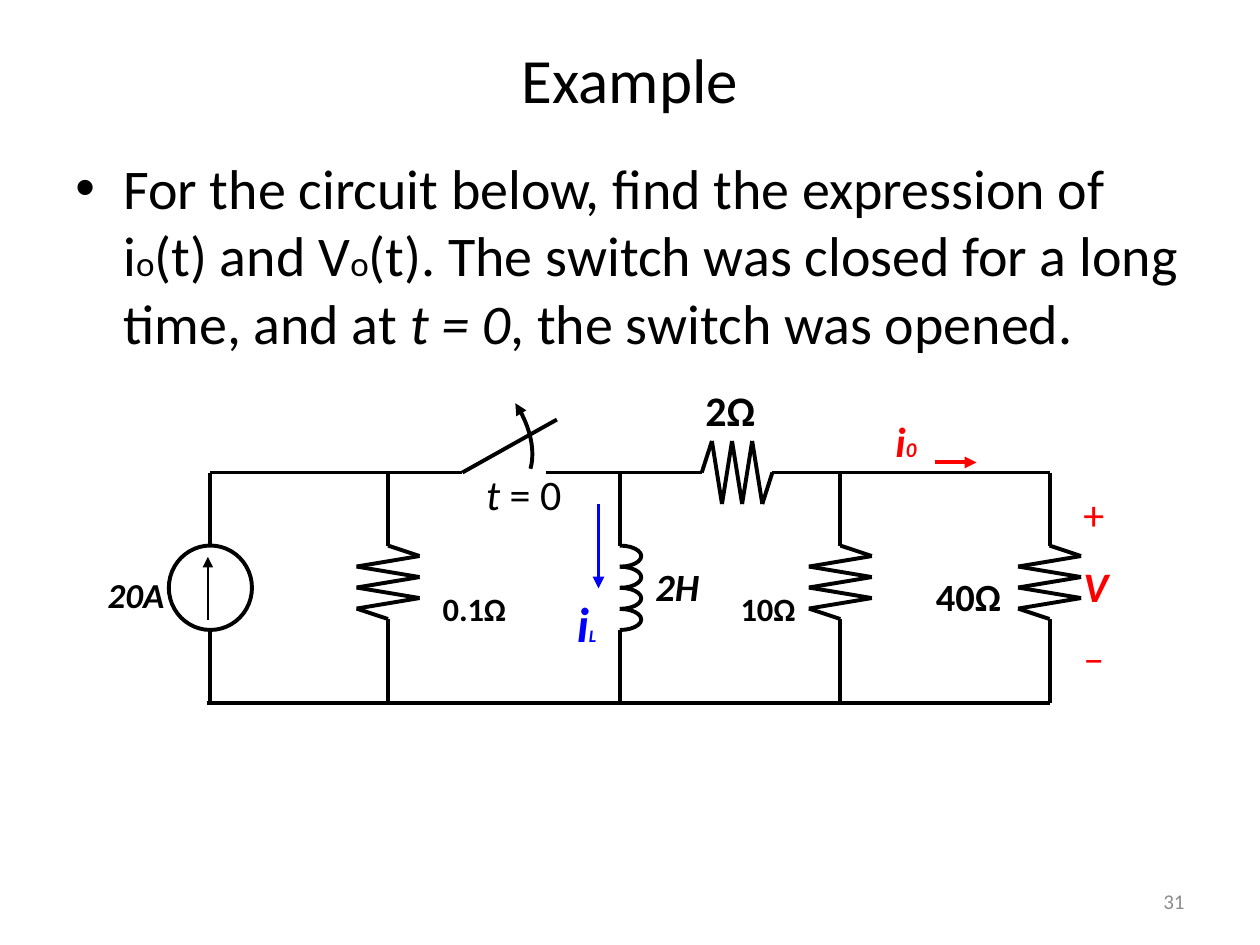
"""Build the circuit example slide with its switch, resistors and inductor."""
from itertools import pairwise

from lxml import etree
from pptx import Presentation
from pptx import util as u
from pptx.dml import color
from pptx.enum import shapes, text
from pptx.oxml import ns

COLORS = {"ink": "000000", "output": "FF0000", "coil": "0000FF", "number": "8C8C8C"}
ALIGN = {"l": text.PP_ALIGN.LEFT, "c": text.PP_ALIGN.CENTER, "r": text.PP_ALIGN.RIGHT}

COL = {"source": 1.67, "shunt": 3.08, "coil": 4.92, "load": 6.67, "out": 8.33}
ROW = {"top": 3.75, "upper": 4.33, "lower": 5.0, "bottom": 5.58}
STEP, SWING, RADIUS = 1 / 12, 0.25, 0.33
SERIES_X = 5.57
COIL_TURNS = 4
SWITCH_CURVE = [(4.21, 3.72), (4.25, 3.58), (4.21, 3.38), (4.09, 3.2)]

QUESTION = [
    ("For the circuit below, find the expression of i", 32, ""), ("o", 20, ""),
    ("(t) and V", 32, ""), ("o", 20, ""),
    ("(t). The switch was closed for a long time, and at ", 32, ""),
    ("t = 0", 32, "i"), (", the switch was opened.", 32, ""),
]
# fields: box, alignment, wrap, colour, paragraphs of (text, size, style)
LABELS = [
    ((0.5, 0.27, 9, 1.25), "c", True, "ink", [[("Example", 36, "")]]),
    ((7.17, 7.0, 2.33, 0.3), "r", True, "number", [[("31", 12, "")]]),
    ((5.08, 4.42, 0.59, 0.47), "c", False, "ink", [[("2H", 22, "bi")]]),
    ((3.25, 4.33, 1.03, 0.45), "c", True, "ink", [[("0.1Ω", 32, "bs")]]),
    ((5.67, 4.33, 0.85, 0.45), "c", True, "ink", [[("10Ω", 32, "bs")]]),
    ((0.75, 4.5, 0.66, 0.43), "c", False, "ink", [[("20A", 20, "bi")]]),
    ((3.76, 3.67, 0.81, 0.5), "l", False, "ink", [[("t ", 24, "i"), ("= 0", 24, "")]]),
    ((7, 3.25, 0.38, 0.5), "c", False, "output", [[("i", 24, "bi"), ("0", 12, "bi")]]),
    ((8.5, 3.83, 0.42, 1.7), "l", False, "output",
     [[("+", 24, "")], [("V", 24, "bi")], [("–", 24, "")]]),
    ((4.48, 4.66, 0.39, 0.57), "l", False, "coil", [[("i", 28, "bi"), ("L", 10, "bi")]]),
    ((7.33, 4.5, 0.75, 0.47), "l", False, "ink", [[("40Ω", 22, "b")]]),
    ((5.5, 3, 0.64, 0.5), "l", False, "ink", [[("2Ω", 24, "b")]]),
]
WIRES = [
    ((COL["source"] - 0.03, ROW["bottom"]), (COL["out"], ROW["bottom"])),
    ((COL["source"], ROW["top"]), (3.67, ROW["top"])),
    ((3.67, ROW["top"]), (4.42, 3.33)),
    ((4.33, ROW["top"]), (COL["coil"], ROW["top"])),
    ((COL["coil"], ROW["top"]), (SERIES_X, ROW["top"])),
    ((SERIES_X + 0.56, ROW["top"]), (COL["load"], ROW["top"])),
    ((COL["load"], ROW["top"]), (COL["out"], ROW["top"])),
]
ARROWS = [
    ((1.65, 4.92), (1.65, 4.42), "ink", 1.5),
    ((7.42, 3.67), (7.75, 3.67), "output", 2.25),
    ((4.75, 4), (4.75, 4.67), "coil", 2.25),
]


def rgb(name):
    return color.RGBColor.from_string(COLORS[name])


def outline(sp, name="ink", width=2.25, arrow=False):
    sp.line.color.rgb = rgb(name)
    sp.line.width = u.Pt(width)
    if arrow:
        etree.SubElement(sp.line._get_or_add_ln(), ns.qn("a:tailEnd"), type="triangle")


def add_line(s, start, end, name="ink", width=2.25, arrow=False):
    points = [u.Inches(v) for v in (*start, *end)]
    sp = s.shapes.add_connector(shapes.MSO_CONNECTOR.STRAIGHT, *points)
    outline(sp, name, width, arrow)
    etree.SubElement(sp._element.spPr, ns.qn("a:effectLst"))


def add_outline_shape(s, kind, *box):
    sp = s.shapes.add_shape(kind, *map(u.Inches, box))
    sp.shadow.inherit = False
    sp.fill.background()
    outline(sp)
    return sp


def add_label(s, box, align, wrap, name, paragraphs):
    tf = s.shapes.add_textbox(*map(u.Inches, box)).text_frame
    tf.word_wrap = wrap
    for i, runs in enumerate(paragraphs):
        p = tf.add_paragraph() if i else tf.paragraphs[0]
        p.alignment = ALIGN[align]
        p.space_before = u.Pt(12 if i else 0)
        for content, size, style in runs:
            r = p.add_run()
            r.text = content
            r.font.name, r.font.size = "Calibri", u.Pt(size)
            r.font.bold, r.font.italic = "b" in style, "i" in style
            r.font.color.rgb = rgb(name)
            if "s" in style:
                r._r.get_or_add_rPr().set("baseline", "-25000")
    return tf


def add_resistor(s, x, y, vertical=True):
    swings = [0] + [SWING, -SWING] * 3 + [0]
    if vertical:
        points = [(x + d, y + i * STEP) for i, d in enumerate(swings)]
    else:
        points = [(x + i * 0.08, y - d) for i, d in enumerate(swings)]
    for start, end in pairwise(points):
        add_line(s, start, end)


def add_coil(s):
    turn = (ROW["lower"] - ROW["upper"]) / COIL_TURNS
    for i in range(COIL_TURNS):
        sp = add_outline_shape(s, shapes.MSO_SHAPE.ARC, COL["coil"] - 0.17,
                               ROW["upper"] + i * turn, 0.34, turn)
        sp.adjustments[0], sp.adjustments[1] = 162, 54


def add_switch_arrow(s):
    points = []
    for t in (i / 12 for i in range(13)):
        weights = ((1 - t) ** 3, 3 * t * (1 - t) ** 2, 3 * t * t * (1 - t), t ** 3)
        points.append([u.Inches(sum(w * c[k] for w, c in zip(weights, SWITCH_CURVE)))
                       for k in (0, 1)])
    fb = s.shapes.build_freeform(*points[0])
    fb.add_line_segments(points[1:], close=False)
    sp = fb.convert_to_shape()
    sp.shadow.inherit = False
    sp.fill.background()
    outline(sp, arrow=True)


def add_circuit(s):
    add_coil(s)
    add_outline_shape(s, shapes.MSO_SHAPE.OVAL, COL["source"] - RADIUS, ROW["upper"],
                      2 * RADIUS, ROW["lower"] - ROW["upper"])
    for name, x in COL.items():
        resistive = name not in ("source", "coil")
        foot = ROW["upper"] + 7 * STEP if resistive else ROW["lower"]
        add_line(s, (x, ROW["top"]), (x, ROW["upper"]))
        add_line(s, (x, foot), (x, ROW["bottom"]))
        if resistive:
            add_resistor(s, x, ROW["upper"])
    add_resistor(s, SERIES_X, ROW["top"], vertical=False)
    for wire in WIRES:
        add_line(s, *wire)
    for arrow in ARROWS:
        add_line(s, *arrow, arrow=True)
    add_switch_arrow(s)


def main():
    prs = Presentation()
    prs.slide_width, prs.slide_height = u.Inches(10), u.Inches(7.5)
    s = prs.slides.add_slide(prs.slide_layouts[6])
    tf = add_label(s, (0.5, 1.17, 9, 4.95), "l", True, "ink", [QUESTION])
    pPr = tf.paragraphs[0]._p.get_or_add_pPr()
    pPr.set("marL", str(u.Inches(0.38)))
    pPr.set("indent", str(u.Inches(-0.38)))
    etree.SubElement(pPr, ns.qn("a:buFont"), typeface="Arial")
    etree.SubElement(pPr, ns.qn("a:buChar"), char="•")
    add_circuit(s)
    for label in LABELS:
        add_label(s, *label)
    prs.save("out.pptx")


if __name__ == "__main__":
    main()
